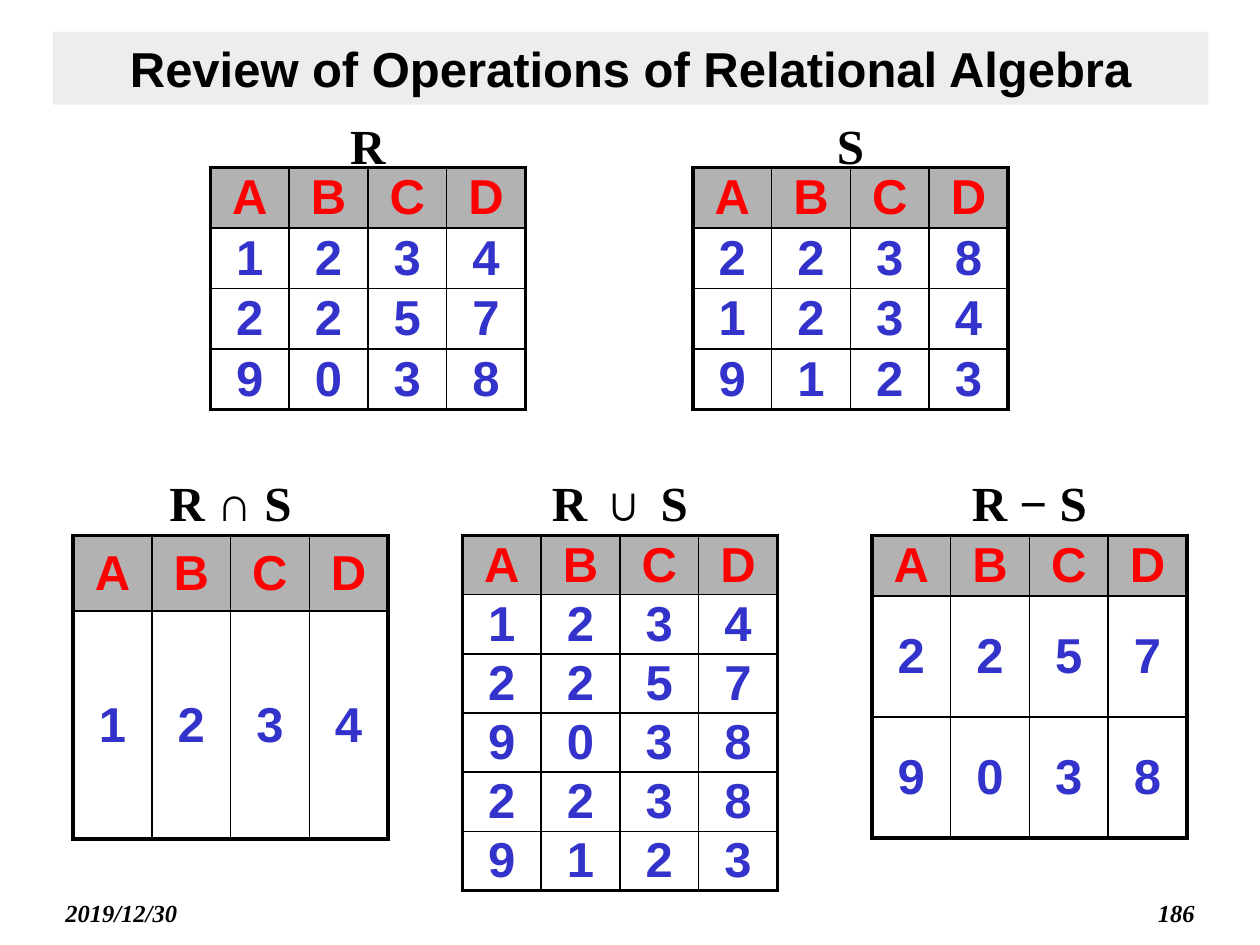
import pptx
import pptx.dml.color
import pptx.enum.text
import pptx.oxml
import pptx.oxml.ns
import pptx.util
from pptx.util import Inches

COLORS = {
    "ink": "000000",
    "title_band": "DDDDDD",
    "header_fill": "B2B2B2",
    "header_text": "FF0000",
    "value_text": "3333CC",
}
ALIGN = pptx.enum.text.PP_ALIGN
ANCHOR = pptx.enum.text.MSO_ANCHOR
TABLE_WIDTH = 2.5
THICK, THIN = 2.25, 1


def rgb(name):
    return pptx.dml.color.RGBColor.from_string(COLORS[name])


class RelationSlide:
    """Holds the text style and the slide being built."""

    heading_font = "Arial"
    label_font = "Times New Roman"
    size = 28
    footer_size = 14

    def __init__(self, page):
        self.page = page

    def style(self, para, font, size, color, align=ALIGN.CENTER, italic=False):
        para.alignment = align
        para.font.name = font
        para.font.size = pptx.util.Pt(size)
        para.font.bold = True
        para.font.italic = italic
        para.font.color.rgb = rgb(color)

    def title(self, text):
        box = self.page.shapes.title
        box.left, box.top = Inches(0.42), Inches(0.25)
        box.width, box.height = Inches(9.17), Inches(0.58)
        box.fill.solid()
        box.fill.fore_color.rgb = rgb("title_band")
        color = box.fill._xPr.find(".//" + pptx.oxml.ns.qn("a:srgbClr"))
        color.append(pptx.oxml.parse_xml(
            f'<a:alpha {pptx.oxml.ns.nsdecls("a")} val="50000"/>'))
        frame = box.text_frame
        frame.text = text
        frame.vertical_anchor = ANCHOR.MIDDLE
        frame.auto_size = pptx.enum.text.MSO_AUTO_SIZE.NONE
        self.style(frame.paragraphs[0], self.heading_font, self.size, "ink")

    def text_box(self, text, left, top, width, height):
        box = self.page.shapes.add_textbox(
            Inches(left), Inches(top), Inches(width), Inches(height))
        box.text_frame.word_wrap = True
        box.text_frame.text = text
        return box.text_frame

    def footer(self, text, left, align):
        frame = self.text_box(text, left, 7.08, 2.08, 0.33)
        self.style(frame.paragraphs[0], self.label_font, self.footer_size,
                   "ink", align, italic=True)

    def label(self, text, left, top):
        frame = self.text_box(text, left, top, TABLE_WIDTH, 0.47)
        frame.margin_left = frame.margin_right = 0
        frame.margin_top = frame.margin_bottom = 0
        frame.auto_size = pptx.enum.text.MSO_AUTO_SIZE.SHAPE_TO_FIT_TEXT
        self.style(frame.paragraphs[0], self.label_font, self.size, "ink")

    def borders(self, cell, widths):
        """Draw the left, right, top and bottom lines of a cell."""
        properties = cell._tc.get_or_add_tcPr()
        for index, (side, width) in enumerate(zip("LRTB", widths)):
            properties.insert(index, pptx.oxml.parse_xml(
                f'<a:ln{side} {pptx.oxml.ns.nsdecls("a")} w="{pptx.util.Pt(width)}">'
                f'<a:solidFill><a:srgbClr val="{COLORS["ink"]}"/></a:solidFill>'
                f'</a:ln{side}>'))

    def relation(self, left, top, heights, tuples):
        """Draw a relation; each string holds one row, one character per cell."""
        rows = ["ABCD"] + tuples
        last_row, last_column = len(rows) - 1, len(rows[0]) - 1
        table = self.page.shapes.add_table(
            len(rows), len(rows[0]), Inches(left), Inches(top),
            Inches(TABLE_WIDTH), Inches(sum(heights))).table
        table.first_row = table.horz_banding = False
        for r, (values, height) in enumerate(zip(rows, heights)):
            table.rows[r].height = Inches(height)
            for c, value in enumerate(values):
                cell = table.cell(r, c)
                cell.text = value
                cell.vertical_anchor = ANCHOR.MIDDLE
                cell.margin_left = cell.margin_right = 0
                cell.margin_top = cell.margin_bottom = 0
                if r == 0:
                    cell.fill.solid()
                    cell.fill.fore_color.rgb = rgb("header_fill")
                else:
                    cell.fill.background()
                self.style(cell.text_frame.paragraphs[0], self.heading_font,
                           self.size, "value_text" if r else "header_text")
                outer = (c == 0, c == last_column, r == 0, r == last_row)
                self.borders(cell, [THICK if edge else THIN for edge in outer])


def main():
    deck = pptx.Presentation()
    deck.slide_width, deck.slide_height = Inches(10), Inches(7.5)
    slide = RelationSlide(deck.slides.add_slide(deck.slide_layouts[5]))

    # Title and footer
    slide.title("Review of Operations of Relational Algebra")
    slide.footer("2019/12/30", 0.42, ALIGN.LEFT)
    slide.footer("186", 7.5, ALIGN.RIGHT)

    # Operands above, results below: name, left, label top, table top, heights, tuples
    r_tuples = ["1234", "2257", "9038"]
    s_tuples = ["2238", "1234", "9123"]
    relations = [
        ("R", 1.67, 0.92, 1.33, [0.48] * 4, r_tuples),
        ("S", 5.5, 0.92, 1.33, [0.48] * 4, s_tuples),
        ("R ∩ S", 0.58, 3.75, 4.25, [0.6, 1.81],
         [row for row in r_tuples if row in s_tuples]),
        ("R ∪ S", 3.67, 3.75, 4.25, [0.47] * 6,
         r_tuples + [row for row in s_tuples if row not in r_tuples]),
        ("R − S", 6.92, 3.75, 4.25, [0.48, 0.96, 0.96],
         [row for row in r_tuples if row not in s_tuples]),
    ]
    for name, left, label_top, table_top, heights, tuples in relations:
        slide.relation(left, table_top, heights, tuples)
        slide.label(name, left, label_top)

    deck.save("out.pptx")


if __name__ == "__main__":
    main()
